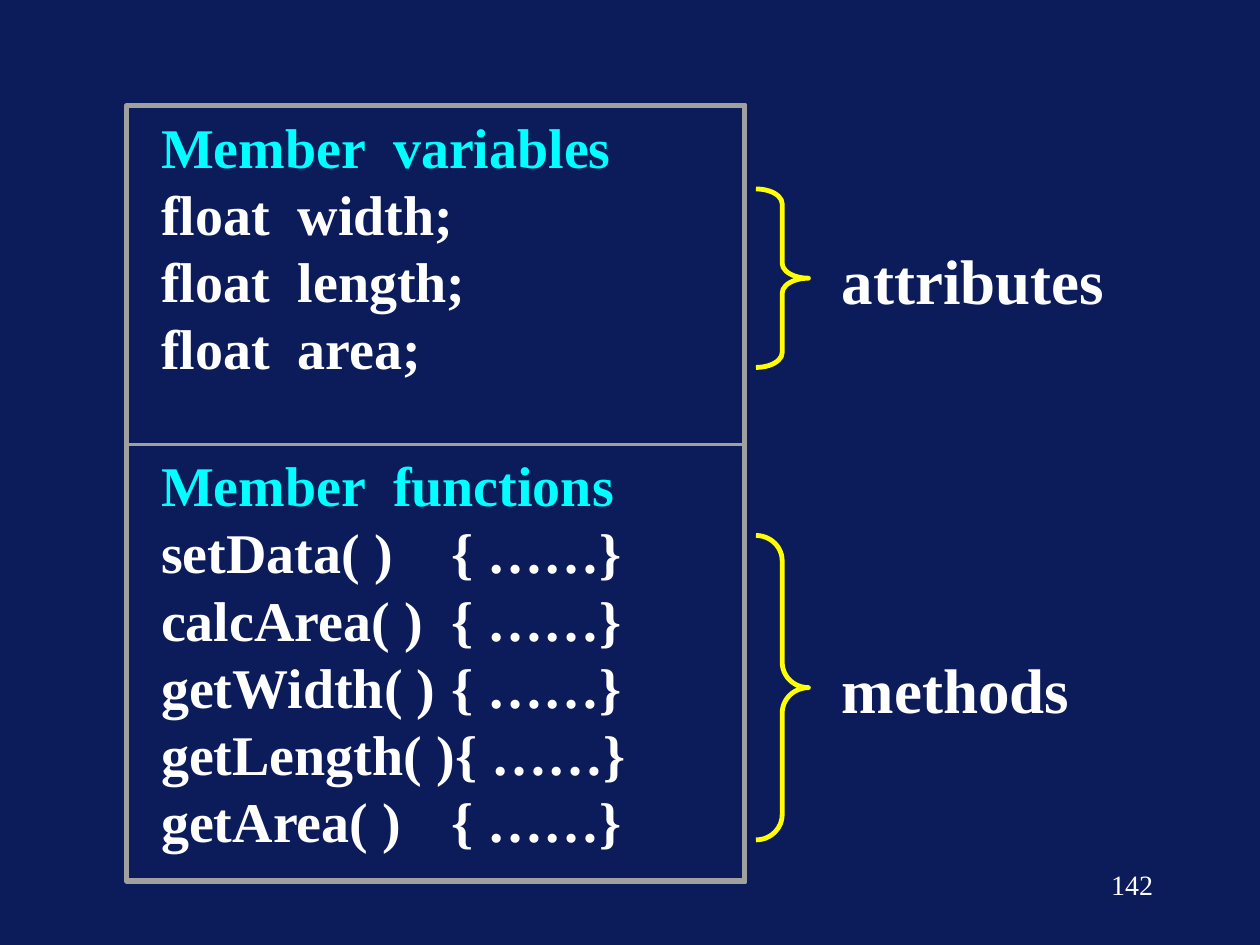
from dataclasses import dataclass

from pptx import Presentation
from pptx.dml.color import RGBColor
from pptx.enum import shapes, text
from pptx.util import Pt

FONT = "Times New Roman"
NAVY, WHITE, CYAN, GRAY, YELLOW = "0C1B5A", "FFFFFF", "00FFFF", "A0A0A0", "FFFF00"
HEADING_TAB = 132.5
PANEL_LEFT, PANEL_WIDTH = 73, 352
BRACE_LEFT, BRACE_WIDTH = 432, 30


@dataclass
class Panel:
    top: float
    height: float
    heading: str
    members: list[str]
    member_tab: float


@dataclass
class Brace:
    top: float
    height: float
    label: str
    label_top: float


PANELS = [
    Panel(60.5, 193.5, "Member\tvariables",
          ["float\twidth;", "float\tlength;", "float\tarea;"], 78),
    Panel(254, 248.5, "Member\tfunctions",
          ["setData( )\t{ ……}", "calcArea( )\t{ ……}", "getWidth( )\t{ ……}",
           "getLength( ){ ……}", "getArea( )\t{ ……}"], 166),
]
BRACES = [
    Brace(108, 102, "attributes", 134.5),
    Brace(306, 174, "methods", 368),
]


def rgb(color: str) -> RGBColor:
    return RGBColor.from_string(color)


def add_tab(p, position: float) -> None:
    tabs = p._p.get_or_add_pPr().makeelement(
        "{http://schemas.openxmlformats.org/drawingml/2006/main}tabLst", {})
    tabs.append(tabs.makeelement(
        "{http://schemas.openxmlformats.org/drawingml/2006/main}tab",
        {"pos": str(Pt(position)), "algn": "l"}))
    p._p.get_or_add_pPr().append(tabs)


def style(p, size: float, color: str, bold: bool = True) -> None:
    p.line_spacing = Pt(size * 1.2)
    for r in p.runs:
        r.font.name, r.font.size, r.font.bold = FONT, Pt(size), bold
        r.font.color.rgb = rgb(color)


def add_text(s, left: float, top: float, width: float, height: float, content: str):
    tf = s.shapes.add_textbox(Pt(left), Pt(top), Pt(width), Pt(height)).text_frame
    tf.word_wrap = True
    tf.text = content
    return tf


def add_outline(s, kind, left: float, top: float, width: float, height: float,
                color: str, weight: float):
    sp = s.shapes.add_shape(kind, Pt(left), Pt(top), Pt(width), Pt(height))
    sp.shadow.inherit = False
    sp.fill.background()
    sp.line.color.rgb = rgb(color)
    sp.line.width = Pt(weight)
    return sp


def add_panel(s, panel: Panel) -> None:
    add_outline(s, shapes.MSO_SHAPE.RECTANGLE, PANEL_LEFT, panel.top,
                PANEL_WIDTH, panel.height, GRAY, 2)
    tf = add_text(s, PANEL_LEFT + 12, panel.top, PANEL_WIDTH - 24, panel.height,
                  "\n".join([panel.heading, *panel.members]))
    for i, p in enumerate(tf.paragraphs):
        add_tab(p, panel.member_tab if i else HEADING_TAB)
        p.alignment = text.PP_ALIGN.JUSTIFY
        style(p, 32, WHITE if i else CYAN)


def add_brace(s, brace: Brace) -> None:
    sp = add_outline(s, shapes.MSO_SHAPE.RIGHT_BRACE, BRACE_LEFT, brace.top,
                     BRACE_WIDTH, brace.height, YELLOW, 2.75)
    sp.adjustments[0] = brace.height / 12 / BRACE_WIDTH
    tf = add_text(s, 474, brace.label_top, 168, 50.5, brace.label)
    style(tf.paragraphs[0], 36, WHITE)


def main() -> None:
    prs = Presentation()
    prs.slide_width, prs.slide_height = Pt(720), Pt(540)
    s = prs.slides.add_slide(prs.slide_layouts[6])
    s.background.fill.solid()
    s.background.fill.fore_color.rgb = rgb(NAVY)

    for panel in PANELS:
        add_panel(s, panel)
    add_outline(s, shapes.MSO_SHAPE.RECTANGLE, 72, 60, 354, 444, GRAY, 2)
    for brace in BRACES:
        add_brace(s, brace)

    p = add_text(s, 516, 492, 150, 36, "142").paragraphs[0]
    p.alignment = text.PP_ALIGN.RIGHT
    style(p, 16, WHITE, bold=False)
    prs.save("out.pptx")


if __name__ == "__main__":
    main()
